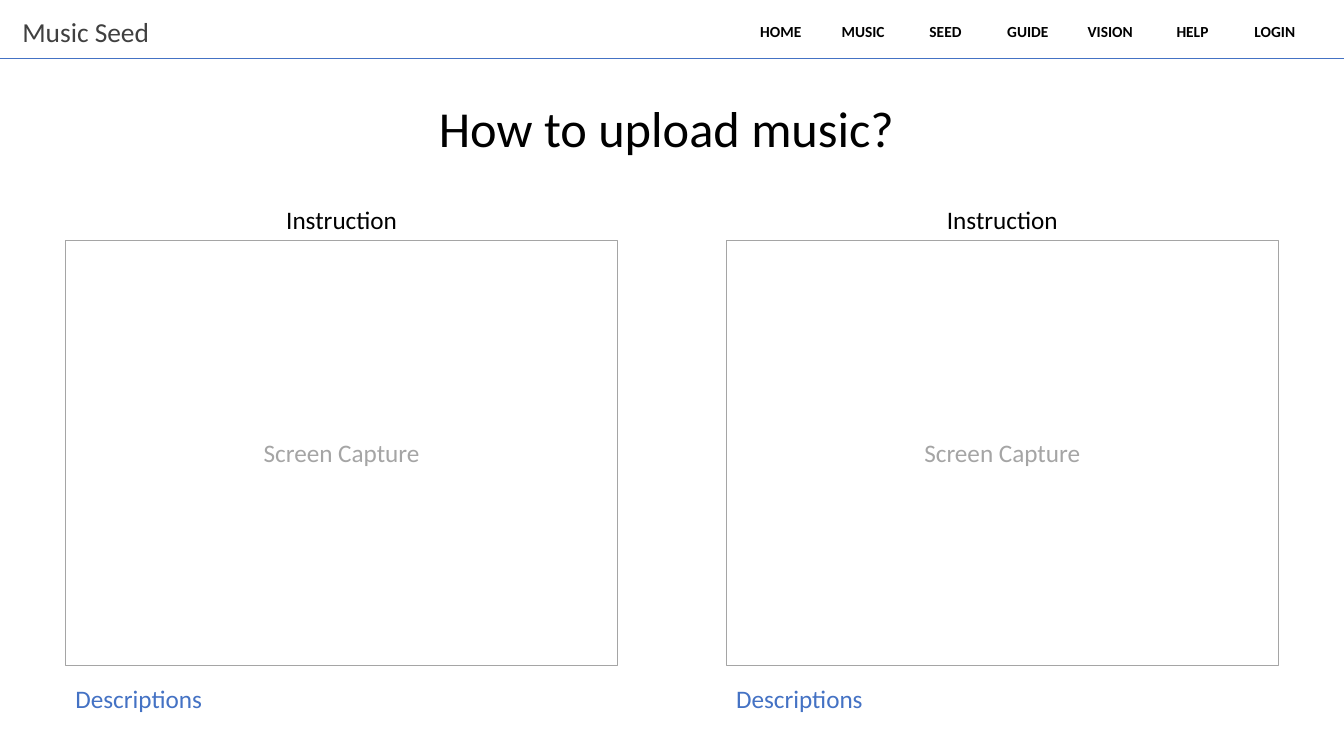
from lxml import etree
from pptx import Presentation
from pptx import util as u
from pptx.dml.color import RGBColor
from pptx.enum import shapes, text
from pptx.oxml import ns

WHITE = RGBColor(0xFF, 0xFF, 0xFF)
BLACK = RGBColor(0x00, 0x00, 0x00)
CHARCOAL = RGBColor(0x40, 0x40, 0x40)
GRAY = RGBColor(0xA5, 0xA5, 0xA5)
BLUE = RGBColor(0x44, 0x72, 0xC4)

CENTER = text.PP_ALIGN.CENTER
LEFT = text.PP_ALIGN.LEFT
MIDDLE = text.MSO_ANCHOR.MIDDLE
WIDE_INSETS = (u.Cm(0.46), u.Cm(0.23))

SLIDE_WIDTH = 33.87
SLIDE_HEIGHT = 19.05
MENU = ["HOME", "MUSIC", "SEED", "GUIDE", "VISION", "HELP", "LOGIN"]
PANEL_WIDTH = 13.92
PANEL_MARGIN = 1.65
HEADING_WIDTH = 7.14


class Page:
    font = "Calibri"

    def __init__(self, slide):
        self.slide = slide

    def set_text(self, frame, words, size, color, align=CENTER, bold=False):
        frame.text = words
        paragraph = frame.paragraphs[0]
        paragraph.alignment = align
        for run in paragraph.runs:
            run.font.name = self.font
            run.font.size = u.Pt(size)
            run.font.bold = bold
            run.font.color.rgb = color

    def title(self, words, box, size):
        shape = self.slide.shapes.title
        shape.left, shape.top, shape.width, shape.height = map(u.Cm, box)
        shape.text_frame.vertical_anchor = MIDDLE
        self.set_text(shape.text_frame, words, size, BLACK)

    def label(self, words, box, size, color, align=CENTER, insets=None):
        shape = self.slide.shapes.add_textbox(*map(u.Cm, box))
        frame = shape.text_frame
        frame.word_wrap = True
        frame.vertical_anchor = MIDDLE
        if insets:
            frame.margin_left = frame.margin_right = insets[0]
            frame.margin_top = frame.margin_bottom = insets[1]
        self.set_text(frame, words, size, color, align)

    def outline(self, words, box, size, color):
        shape = self.slide.shapes.add_shape(
            shapes.MSO_SHAPE.RECTANGLE, *map(u.Cm, box))
        shape.shadow.inherit = False
        shape.fill.background()
        shape.line.color.rgb = color
        shape.line.width = u.Pt(0.75)
        shape.text_frame.vertical_anchor = MIDDLE
        self.set_text(shape.text_frame, words, size, color)

    def rule(self, top, color):
        line = self.slide.shapes.add_connector(
            shapes.MSO_CONNECTOR.STRAIGHT,
            0, u.Cm(top), u.Cm(SLIDE_WIDTH), u.Cm(top))
        line.line.color.rgb = color
        line.line.width = u.Pt(0.5)
        etree.SubElement(line._element.spPr, ns.qn("a:effectLst"))

    def menu(self, names, box, size):
        table = self.slide.shapes.add_table(
            1, len(names), *map(u.Cm, box)).table
        table.horz_banding = False
        for cell, name in zip(table.iter_cells(), names):
            cell.fill.solid()
            cell.fill.fore_color.rgb = WHITE
            cell.vertical_anchor = MIDDLE
            cell.margin_left = cell.margin_right = WIDE_INSETS[0]
            cell.margin_top = cell.margin_bottom = WIDE_INSETS[1]
            self.set_text(cell.text_frame, name, size, BLACK, bold=True)


presentation = Presentation()
presentation.slide_width = u.Cm(SLIDE_WIDTH)
presentation.slide_height = u.Cm(SLIDE_HEIGHT)
page = Page(presentation.slides.add_slide(presentation.slide_layouts[5]))

page.menu(MENU, (18.64, 0.33, 14.53, 0.91), 11)
page.label("Music Seed", (0, 0.13, 4.32, 1.32), 19.6, CHARCOAL,
           insets=WIDE_INSETS)
page.rule(1.47, BLUE)
page.title("How to upload music? ", (4.39, 1.93, 25.1, 2.54), 36)

for left in (PANEL_MARGIN, SLIDE_WIDTH - PANEL_MARGIN - PANEL_WIDTH):
    heading_left = left + (PANEL_WIDTH - HEADING_WIDTH) / 2
    page.outline("Screen Capture", (left, 6.05, PANEL_WIDTH, 10.72), 18, GRAY)
    page.label("Instruction", (heading_left, 5, HEADING_WIDTH, 1.04),
               18, BLACK)
    page.label("Descriptions", (left, 16.79, PANEL_WIDTH, 1.63),
               18, BLUE, LEFT)

presentation.save("out.pptx")
